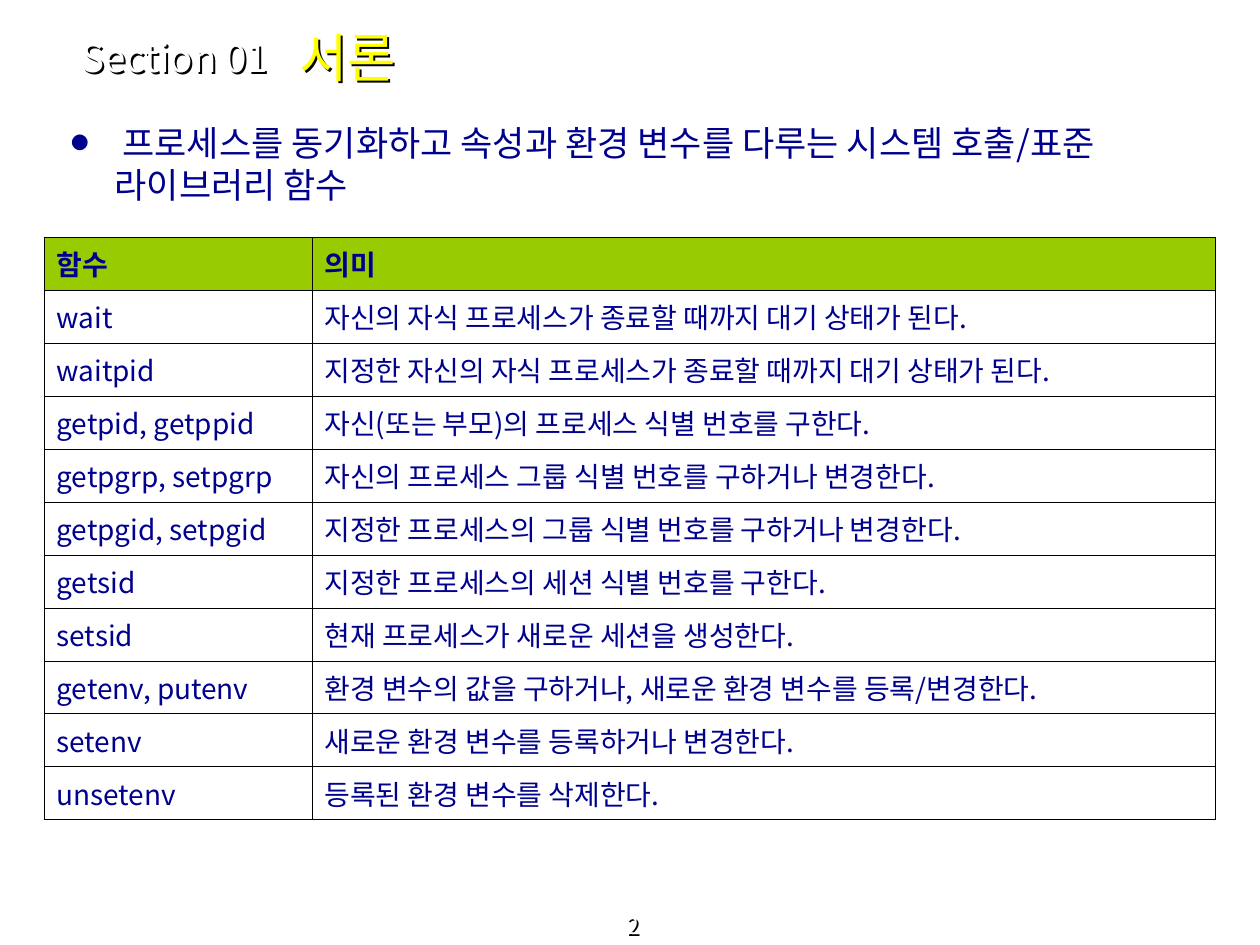
from lxml import etree
from pptx import Presentation
from pptx.dml.color import RGBColor
from pptx.enum.text import MSO_ANCHOR, MSO_AUTO_SIZE, PP_ALIGN
from pptx.oxml import parse_xml
from pptx.oxml.ns import nsdecls, qn
from pptx.util import Pt

TOP, MID, LOW = MSO_ANCHOR.TOP, MSO_ANCHOR.MIDDLE, MSO_ANCHOR.BOTTOM
LEFT, CENTER = PP_ALIGN.LEFT, PP_ALIGN.CENTER
FIXED = MSO_AUTO_SIZE.NONE
SCALE = 914400 / 126


class Theme:
    font = "Noto Sans CJK KR"
    white, gold, navy = "FFFFFF", "FFFF00", "00008E"
    green, black = "99CC00", "000000"
    title, label, body, cell, page = 30, 22, 20, 16, 13
    line = 0.45


ROWS = [
    ("함수", "의미"),
    ("wait", "자신의 자식 프로세스가 종료할 때까지 대기 상태가 된다."),
    ("waitpid", "지정한 자신의 자식 프로세스가 종료할 때까지 대기 상태가 된다."),
    ("getpid, getppid", "자신(또는 부모)의 프로세스 식별 번호를 구한다."),
    ("getpgrp, setpgrp", "자신의 프로세스 그룹 식별 번호를 구하거나 변경한다."),
    ("getpgid, setpgid", "지정한 프로세스의 그룹 식별 번호를 구하거나 변경한다."),
    ("getsid", "지정한 프로세스의 세션 식별 번호를 구한다."),
    ("setsid", "현재 프로세스가 새로운 세션을 생성한다."),
    ("getenv, putenv", "환경 변수의 값을 구하거나, 새로운 환경 변수를 등록/변경한다."),
    ("setenv", "새로운 환경 변수를 등록하거나 변경한다."),
    ("unsetenv", "등록된 환경 변수를 삭제한다."),
]


def px(n):
    return round(n * SCALE)


def put(item, values):
    for name, value in values.items():
        setattr(item, name, value)


def write(frame, text, size, color, bold=False, align=LEFT):
    """Fill the first paragraph of a text frame with one styled run."""
    para = frame.paragraphs[0]
    put(para, {"alignment": align, "space_before": Pt(0)})
    run = para.add_run()
    run.text = text
    put(run.font, {"name": Theme.font, "size": Pt(size), "bold": bold})
    run.font.color.rgb = RGBColor.from_string(color)
    east = etree.Element(qn("a:ea"), typeface=Theme.font)
    run.font._element.find(qn("a:latin")).addnext(east)


def place(shape, box, anchor):
    """Set the bounds and frame of a placeholder or text box."""
    put(shape, dict(zip(("left", "top", "width", "height"), map(px, box))))
    put(shape.text_frame, {"word_wrap": True, "auto_size": FIXED,
                           "vertical_anchor": anchor})
    return shape.text_frame


def shade(shape):
    """Give the text of an unfilled shape a hard black shadow."""
    shape.fill.background()
    shape._element.spPr.append(parse_xml(
        f'<a:effectLst {nsdecls("a")}>'
        '<a:outerShdw blurRad="0" dist="20000" dir="2700000" algn="tl" '
        f'rotWithShape="0"><a:srgbClr val="{Theme.black}"/>'
        '</a:outerShdw></a:effectLst>'))


def add_text(shape, box, anchor, *args, **style):
    write(place(shape, box, anchor), *args, **style)
    shade(shape)


def add_list(shape, box, text):
    frame = place(shape, box, TOP)
    props = frame.paragraphs[0]._p.get_or_add_pPr()
    for name, value in {"marL": px(60), "indent": -px(43)}.items():
        props.set(name, str(value))
    for body in (
        f'<a:buClr {nsdecls("a")}><a:srgbClr val="{Theme.navy}"/></a:buClr>',
        f'<a:buSzPct {nsdecls("a")} val="50000"/>',
        f'<a:buFont {nsdecls("a")} typeface="{Theme.font}"/>',
        f'<a:buChar {nsdecls("a")} char="●"/>',
    ):
        props.append(parse_xml(body))
    write(frame, text, Theme.body, Theme.navy)


def edge(cell):
    """Draw the four borders of a cell."""
    props = cell._tc.get_or_add_tcPr()
    for i, side in enumerate("LRTB"):
        props.insert(i, parse_xml(
            f'<a:ln{side} {nsdecls("a")} w="{Pt(Theme.line)}"><a:solidFill>'
            f'<a:srgbClr val="{Theme.black}"/></a:solidFill></a:ln{side}>'))


def add_grid(slide, left, top, widths, height, rows):
    table = slide.shapes.add_table(
        len(rows), len(widths), px(left), px(top),
        px(sum(widths)), px(height * len(rows))).table
    table.horz_banding = False
    for col, width in zip(table.columns, widths):
        col.width = px(width)
    for r, texts in enumerate(rows):
        table.rows[r].height = px(height)
        for c, text in enumerate(texts):
            cell = table.cell(r, c)
            write(cell.text_frame, text, Theme.cell, Theme.navy, bold=r == 0)
            if r == 0:
                cell.fill.solid()
                cell.fill.fore_color.rgb = RGBColor.from_string(Theme.green)
            else:
                cell.fill.background()
            edge(cell)


def main():
    deck = Presentation()
    put(deck, {"slide_width": px(1260), "slide_height": px(945)})
    slide = deck.slides.add_slide(deck.slide_layouts[1])
    label, page = (slide.shapes.add_textbox(0, 0, 0, 0) for _ in range(2))

    # Heading
    add_text(label, (69, 34, 243, 47), MID,
             "Section 01", Theme.label, Theme.white)
    add_text(slide.shapes.title, (287, 14, 818, 86), MID,
             "서론", Theme.title, Theme.gold)

    # Topic and function table
    add_list(slide.placeholders[1], (42, 115, 1176, 110),
             " 프로세스를 동기화하고 속성과 환경 변수를 다루는 "
             "시스템 호출/표준 라이브러리 함수")
    add_grid(slide, 44, 237, (268, 903), 53, ROWS)

    # Page number
    add_text(page, (0, 917, 1260, 28), LOW, " 2", Theme.page, Theme.white,
             align=CENTER)
    deck.save("out.pptx")


if __name__ == "__main__":
    main()
